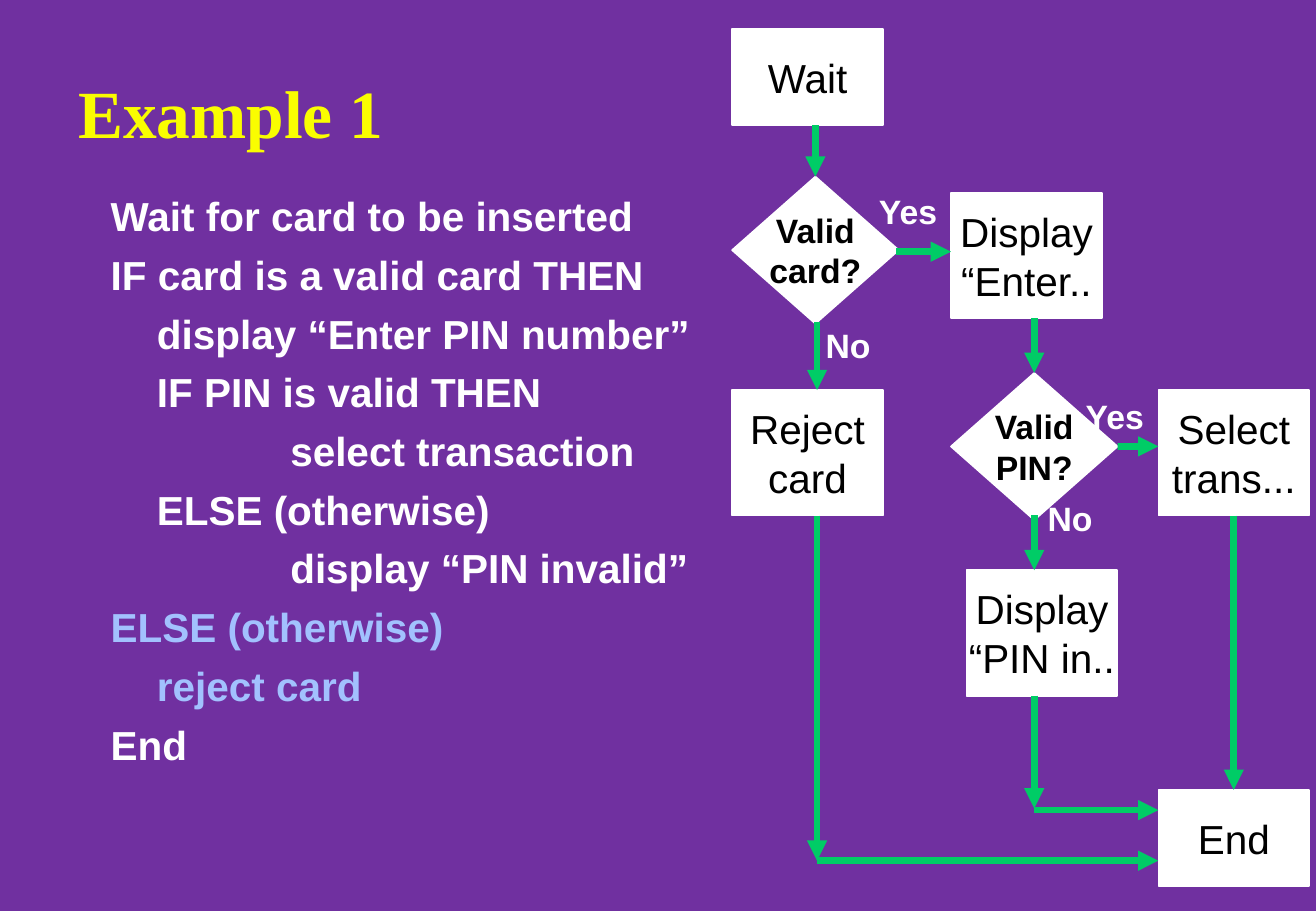
import dataclasses

import pptx
import pptx.dml.color
import pptx.enum.shapes
import pptx.enum.text
import pptx.oxml
import pptx.oxml.ns
import pptx.util

Pt = pptx.util.Pt
RGB = pptx.dml.color.RGBColor.from_string
ALIGN = pptx.enum.text.PP_ALIGN
ANCHOR = pptx.enum.text.MSO_ANCHOR
SHAPE = pptx.enum.shapes.MSO_SHAPE
TOP, LEFT, BOTTOM, RIGHT = range(4)


@dataclasses.dataclass(frozen=True)
class Theme:
    background: str = "7030A0"
    title: str = "FAFD00"
    text: str = "FFFFFF"
    highlight: str = "A2C1FE"
    box: str = "FFFFFF"
    box_text: str = "000000"
    arrow: str = "00CC66"
    title_font: str = "Times New Roman"
    font: str = "Arial"
    title_size: int = 40
    text_size: int = 24
    label_size: int = 20


THEME = Theme()
INDENTS = (0, 27.4, 106.5)
PSEUDOCODE = (
    (0, "Wait for card to be inserted", THEME.text),
    (0, "IF card is a valid card THEN", THEME.text),
    (1, "display “Enter PIN number”", THEME.text),
    (1, "IF PIN is valid THEN", THEME.text),
    (2, "select transaction", THEME.text),
    (1, "ELSE (otherwise)", THEME.text),
    (2, "display “PIN invalid”", THEME.text),
    (0, "ELSE (otherwise)", THEME.highlight),
    (1, "reject card", THEME.highlight),
    (0, "End", THEME.text),
)
BOX_WIDTH, STEP_HEIGHT, END_HEIGHT = 89.5, 74.4, 56.9
DIAMOND_WIDTH, DIAMOND_HEIGHT = 98.8, 87.1
CARD_LEFT, PIN_LEFT, SELECT_LEFT = 434.2, 564, 687
CARD_X, PIN_X = 484.6, 613.4
ENTER_TOP, ROW_TOP, INVALID_TOP, END_TOP = 114.3, 231.2, 338, 468.2
INVALID_EXIT_Y, REJECT_EXIT_Y = 480.2, 510.2


def apply(obj, values):
    for name, value in values.items():
        setattr(obj, name, value)


def place(sp, left, top, width, height):
    apply(sp, {"left": Pt(left), "top": Pt(top), "width": Pt(width), "height": Pt(height)})


def format_text(tf, size, color, font=THEME.font, bold=True, align=ALIGN.LEFT):
    for p in tf.paragraphs:
        p.alignment = align
        for r in p.runs:
            apply(r.font, {"name": font, "size": Pt(size), "bold": bold})
            r.font.color.rgb = RGB(color)


def set_title(s, text):
    sp = s.shapes.title
    place(sp, 39.2, 41.8, 663, 48.2)
    tf = sp.text_frame
    tf.text = text
    apply(tf, {"vertical_anchor": ANCHOR.MIDDLE, "word_wrap": True})
    format_text(tf, THEME.title_size, THEME.title, THEME.title_font)


def add_pseudocode(s):
    tf = s.shapes.add_textbox(Pt(58.6), Pt(109.7), Pt(663), Pt(370)).text_frame
    tf.word_wrap = True
    for i, (level, text, color) in enumerate(PSEUDOCODE):
        p = tf.paragraphs[0] if i == 0 else tf.add_paragraph()
        p.space_after = Pt(6)
        p._p.get_or_add_pPr().set("marL", str(Pt(INDENTS[level])))
        r = p.add_run()
        r.text = text
        apply(r.font, {"name": THEME.font, "size": Pt(THEME.text_size), "bold": True})
        r.font.color.rgb = RGB(color)


def add_label(s, text, left, top, width):
    tf = s.shapes.add_textbox(Pt(left), Pt(top), Pt(width), Pt(31.5)).text_frame
    tf.text = text
    tf.word_wrap = False
    format_text(tf, THEME.label_size, THEME.text)


def add_node(s, kind, text, left, top, width, height, size, bold):
    sp = s.shapes.add_shape(kind, Pt(left), Pt(top), Pt(width), Pt(height))
    sp.shadow.inherit = False
    sp.fill.solid()
    sp.fill.fore_color.rgb = RGB(THEME.box)
    sp.line.color.rgb = RGB(THEME.box)
    sp.line.width = Pt(1)
    tf = sp.text_frame
    tf.text = text
    apply(tf, {"word_wrap": False, "vertical_anchor": ANCHOR.MIDDLE})
    format_text(tf, size, THEME.box_text, bold=bold, align=ALIGN.CENTER)
    return sp


def add_step(s, text, left, top, height=STEP_HEIGHT):
    return add_node(s, SHAPE.RECTANGLE, text, left, top, BOX_WIDTH, height,
                    THEME.text_size, False)


def add_decision(s, text, left, top):
    return add_node(s, SHAPE.DIAMOND, text, left, top, DIAMOND_WIDTH, DIAMOND_HEIGHT,
                    THEME.label_size, True)


def add_arrow(s, start, end):
    """Each end is a point (x, y) or a joint (shape, side)."""
    joined = [not isinstance(e[0], (int, float)) for e in (start, end)]
    points = [(0, 0) if j else e for j, e in zip(joined, (start, end))]
    cxn = s.shapes.add_connector(pptx.enum.shapes.MSO_CONNECTOR.STRAIGHT,
                                 *(Pt(v) for point in points for v in point))
    if joined[0]:
        cxn.begin_connect(*start)
    if joined[1]:
        cxn.end_connect(*end)
    cxn.line.color.rgb = RGB(THEME.arrow)
    cxn.line.width = Pt(4)
    tail = pptx.oxml.parse_xml(f'<a:tailEnd {pptx.oxml.ns.nsdecls("a")} type="triangle"/>')
    cxn.line._get_or_add_ln().append(tail)
    cxn._element.spPr.append(
        pptx.oxml.parse_xml(f'<a:effectLst {pptx.oxml.ns.nsdecls("a")}/>'))


def add_flowchart(s):
    for label in (("Yes", 514.2, 109.6, 49.7), ("No", 482.6, 188.8, 41),
                  ("Yes", 636.8, 231.2, 49.7), ("No", 614.2, 291.6, 41)):
        add_label(s, *label)

    add_step(s, "Wait", CARD_LEFT, 17.1, END_HEIGHT)
    valid_card = add_decision(s, "Valid\vcard?", CARD_LEFT, 104.7)
    add_step(s, "Display\n“Enter..", PIN_LEFT, ENTER_TOP)
    add_step(s, "Reject\ncard", CARD_LEFT, ROW_TOP)
    valid_pin = add_decision(s, "Valid\vPIN?", PIN_LEFT, 221.1)
    select = add_step(s, "Select\ntrans...", SELECT_LEFT, ROW_TOP)
    add_step(s, "Display\n“PIN in..", 573.2, INVALID_TOP)
    end = add_step(s, "End", SELECT_LEFT, END_TOP, END_HEIGHT)

    for start, finish in (
        ((CARD_X - 1, 74.2), (valid_card, TOP)),
        ((531.5, 149.2), (PIN_LEFT, 149.2)),
        ((CARD_X, 191), (CARD_X, ROW_TOP)),
        ((PIN_X, ENTER_TOP + STEP_HEIGHT), (valid_pin, TOP)),
        ((valid_pin, RIGHT), (SELECT_LEFT, 264.6)),
        ((PIN_X, 305.5), (PIN_X, INVALID_TOP)),
        ((select, BOTTOM), (end, TOP)),
        ((PIN_X, INVALID_TOP + STEP_HEIGHT), (PIN_X, INVALID_EXIT_Y - 1)),
        ((PIN_X, INVALID_EXIT_Y), (SELECT_LEFT, INVALID_EXIT_Y)),
        ((CARD_X, ROW_TOP + STEP_HEIGHT), (CARD_X, REJECT_EXIT_Y)),
        ((CARD_X, REJECT_EXIT_Y), (SELECT_LEFT, REJECT_EXIT_Y)),
    ):
        add_arrow(s, start, finish)


def main():
    prs = pptx.Presentation()
    apply(prs, {"slide_width": Pt(780.48), "slide_height": Pt(540)})
    s = prs.slides.add_slide(prs.slide_layouts.get_by_name("Title Only"))
    s.background.fill.solid()
    s.background.fill.fore_color.rgb = RGB(THEME.background)
    set_title(s, "Example 1")
    add_pseudocode(s)
    add_flowchart(s)
    prs.save("out.pptx")


if __name__ == "__main__":
    main()
